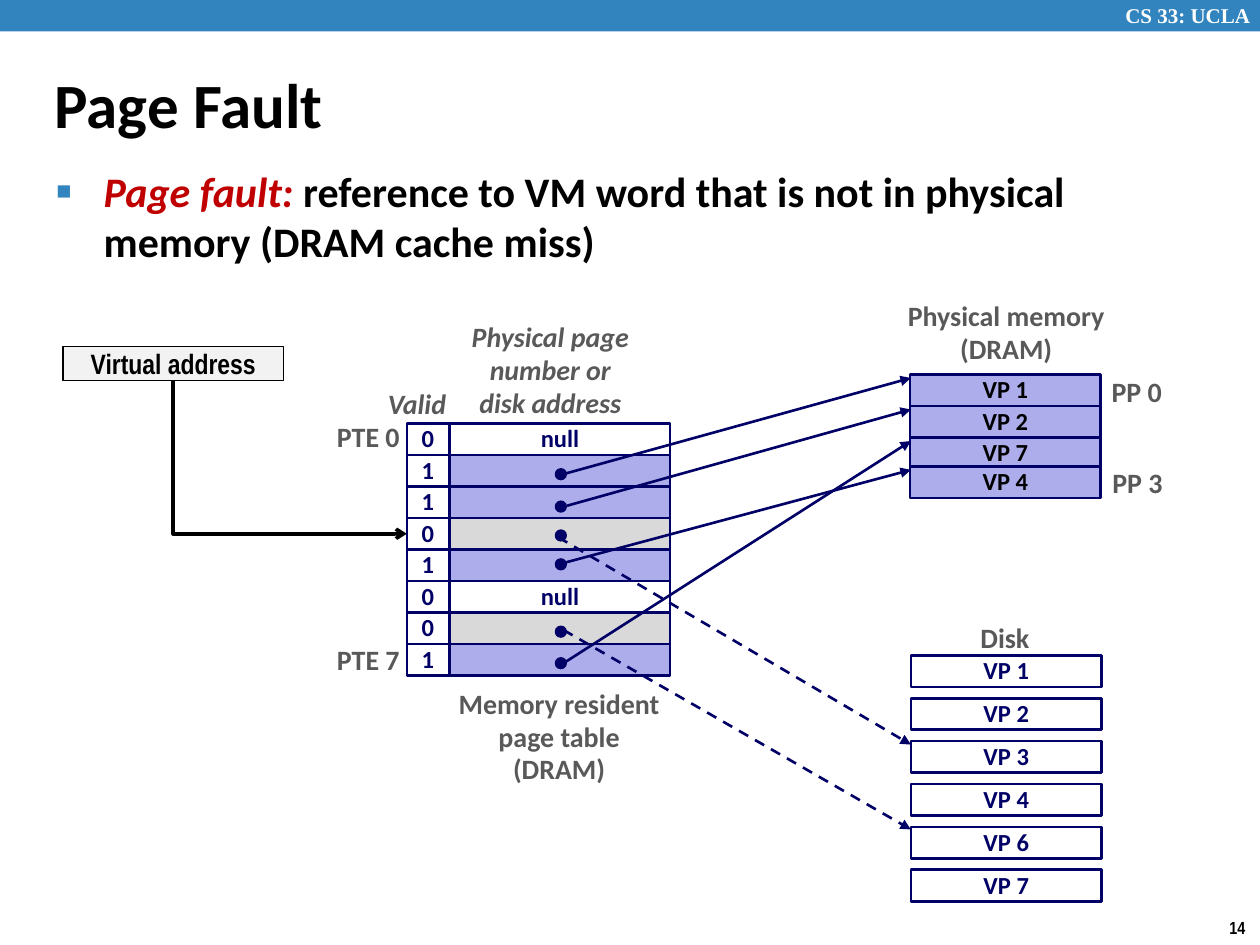
from lxml import etree
from pptx import Presentation
from pptx.dml.color import RGBColor
from pptx.enum.dml import MSO_LINE
from pptx.enum.shapes import MSO_CONNECTOR, MSO_SHAPE
from pptx.enum.text import MSO_ANCHOR, MSO_AUTO_SIZE, PP_ALIGN
from pptx.oxml.ns import qn
from pptx.util import Pt

RECTANGLE, OVAL = MSO_SHAPE.RECTANGLE, MSO_SHAPE.OVAL
STRAIGHT, ELBOW = MSO_CONNECTOR.STRAIGHT, MSO_CONNECTOR.ELBOW
LEFT, CENTER, RIGHT = PP_ALIGN.LEFT, PP_ALIGN.CENTER, PP_ALIGN.RIGHT
TOP, MIDDLE = MSO_ANCHOR.TOP, MSO_ANCHOR.MIDDLE
DASH = MSO_LINE.DASH
NO_AUTOFIT = MSO_AUTO_SIZE.NONE

COLORS = {
    "band": "3284BF", "white": "FFFFFF", "black": "000000", "term": "C00000",
    "navy": "000066", "cached": "ADADEB", "on_disk": "D9D9D9",
    "label": "595959", "address": "F2F2F2",
}

ROW = 18
TABLE_TOP = 242
PAGE_LEFT, PAGE_WIDTH = 520, 109
PAGE_TABLE = [
    ("0", "white", "null"), ("1", "cached", ""), ("1", "cached", ""),
    ("0", "on_disk", ""), ("1", "cached", ""), ("0", "white", "null"),
    ("0", "on_disk", ""), ("1", "cached", ""),
]
PHYSICAL_PAGES = [("VP 1", 214), ("VP 2", 232), ("VP 7", 250), ("VP 4", 266.5)]
DISK_PAGES = ["VP 1", "VP 2", "VP 3", "VP 4", "VP 6", "VP 7"]
DISK_TOP, DISK_STEP = 374.5, 24.5
DOT_X, DOT_SIZE = 320.5, 6
ARROW_END = 520.5
POINTERS = [
    (271, 320, 271.5, 216, None), (289.5, 324, 289, 234, None),
    (306, 319, 307, 425.5, DASH), (322.5, 321, 322, 268.5, None),
    (361, 322, 360, 474, DASH), (379, 322, 379, 252, None),
]


def rgb(name):
    return RGBColor.from_string(COLORS[name])


def set_font(font, size, color, name="Calibri", italic=False):
    font.name = name
    font.size = Pt(size)
    font.bold = True
    font.italic = italic
    font.color.rgb = rgb(color)


def write(text_frame, lines, size, color, align=CENTER, anchor=MIDDLE,
          name="Calibri", italic=False, spacing=0.98):
    text_frame.word_wrap = False
    text_frame.vertical_anchor = anchor
    for index, line in enumerate(lines):
        paragraph = text_frame.paragraphs[0] if index == 0 else text_frame.add_paragraph()
        paragraph.text = line
        paragraph.alignment = align
        paragraph.line_spacing = spacing
        set_font(paragraph.font, size, color, name, italic)


def add_label(slide, left, top, width, height, lines, size=16, color="label", **style):
    box = slide.shapes.add_textbox(Pt(left), Pt(top), Pt(width), Pt(height))
    write(box.text_frame, lines, size, color, **style)


def add_box(slide, left, top, width, height, fill, line="navy", weight=1.5, kind=RECTANGLE):
    shape = slide.shapes.add_shape(kind, Pt(left), Pt(top), Pt(width), Pt(height))
    shape.shadow.inherit = False
    shape.fill.solid()
    shape.fill.fore_color.rgb = rgb(fill)
    if line:
        shape.line.color.rgb = rgb(line)
        shape.line.width = Pt(weight)
    else:
        shape.line.fill.background()
    return shape


def add_cell(slide, left, top, width, fill, text, color="navy"):
    cell = add_box(slide, left, top, width, ROW, fill)
    if text:
        write(cell.text_frame, [text], 14, color)


def add_arrow(slide, start, end, color, weight, head, dash=None, kind=STRAIGHT):
    connector = slide.shapes.add_connector(kind, *(Pt(value) for value in start + end))
    connector.line.color.rgb = rgb(color)
    connector.line.width = Pt(weight)
    if dash:
        connector.line.dash_style = dash
    properties = connector._element.spPr
    etree.SubElement(properties.find(qn("a:ln")), qn("a:tailEnd"), type=head)
    etree.SubElement(properties, qn("a:effectLst"))
    return connector


def add_corner_arrow(slide, start, end):
    center_x, center_y = (start[0] + end[0]) / 2, (start[1] + end[1]) / 2
    half_width, half_height = (end[1] - start[1]) / 2, (end[0] - start[0]) / 2
    connector = add_arrow(
        slide, (center_x + half_width, center_y - half_height),
        (center_x - half_width, center_y + half_height), "black", 2, "arrow", kind=ELBOW)
    properties = connector._element.spPr
    properties.find(qn("a:prstGeom")).set("prst", "bentConnector2")
    properties.find(qn("a:xfrm")).set("rot", "16200000")


def place(placeholder, left, top, width, height, anchor):
    placeholder.left, placeholder.top = Pt(left), Pt(top)
    placeholder.width, placeholder.height = Pt(width), Pt(height)
    placeholder.text_frame.auto_size = NO_AUTOFIT
    placeholder.text_frame.vertical_anchor = anchor
    return placeholder.text_frame.paragraphs[0]


def add_bullet(paragraph, indent):
    properties = paragraph._p.get_or_add_pPr()
    properties.set("marL", str(Pt(indent)))
    properties.set("indent", str(-Pt(indent)))
    color = etree.SubElement(properties, qn("a:buClr"))
    etree.SubElement(color, qn("a:srgbClr"), val=COLORS["band"])
    etree.SubElement(properties, qn("a:buSzPct"), val="60000")
    etree.SubElement(properties, qn("a:buFont"), typeface="Arial")
    etree.SubElement(properties, qn("a:buChar"), char="■")


def add_heading(slide):
    add_box(slide, 0, 0, 720, 18, "band", line=None)
    add_label(slide, 636, -2, 89, 22, ["CS 33: UCLA"], 12, "white",
              align=LEFT, anchor=TOP, name="Times New Roman", spacing=1)
    add_label(slide, 695.5, 520.5, 24.5, 19.5, ["14"], 10, "black",
              align=LEFT, anchor=TOP, name="Arial Narrow", spacing=1)
    title = place(slide.shapes.title, 24, 28, 652, 62, MIDDLE)
    title.text = "Page Fault"
    title.alignment = LEFT
    set_font(title.font, 36, "black")
    body = place(slide.placeholders[1], 25, 91, 654.5, 60, TOP)
    add_bullet(body, 27)
    body.space_before = Pt(0)
    for text, color, italic in [
        ("Page fault: ", "term", True),
        ("reference to VM word that is not in physical memory (DRAM cache miss)", "black", False),
    ]:
        run = body.add_run()
        run.text = text
        set_font(run.font, 24, color, italic=italic)


def add_page_table(slide):
    for index, (valid, fill, text) in enumerate(PAGE_TABLE):
        top = TABLE_TOP + index * ROW
        add_cell(slide, 257, top, 126, fill, text)
        add_cell(slide, 232.5, top, 24, "white", valid)
    add_label(slide, 214.5, 218, 54, 26.5, ["Valid"], align=LEFT, anchor=TOP, italic=True)
    add_label(slide, 262, 180, 105, 64, ["Physical page", "number or", "disk address"], italic=True)
    add_label(slide, 185, 237, 50.5, 26.5, ["PTE 0"], align=RIGHT)
    add_label(slide, 185, 364.5, 50.5, 26.5, ["PTE 7"], align=RIGHT)
    add_label(slide, 253, 389.5, 133, 64, ["Memory resident", "page table", "(DRAM)"], anchor=TOP)


def add_memories(slide):
    for text, top in PHYSICAL_PAGES:
        add_cell(slide, PAGE_LEFT, top, PAGE_WIDTH, "cached", text, "black")
    for index, text in enumerate(DISK_PAGES):
        add_cell(slide, PAGE_LEFT + 0.5, DISK_TOP + index * DISK_STEP, PAGE_WIDTH, "white", text)
    add_label(slide, 511, 168, 128, 45.5, ["Physical memory", "(DRAM)"], anchor=TOP)
    add_label(slide, 628, 211, 43, 26.5, ["PP 0"])
    add_label(slide, 628.5, 263, 43, 26.5, ["PP 3"])
    add_label(slide, 553, 352, 42.5, 26.5, ["Disk"], anchor=TOP)


def add_pointers(slide):
    for dot_y, start_x, start_y, end_y, dash in POINTERS:
        add_box(slide, DOT_X - DOT_SIZE / 2, dot_y - DOT_SIZE / 2, DOT_SIZE, DOT_SIZE,
                "navy", weight=1, kind=OVAL)
        add_arrow(slide, (start_x, start_y), (ARROW_END, end_y), "navy", 1.5, "triangle", dash)


def add_virtual_address(slide):
    box = add_box(slide, 36, 198, 126, 19.5, "address", "black", 1)
    write(box.text_frame, ["Virtual address"], 16, "black", name="Arial Narrow", spacing=1)
    add_corner_arrow(slide, (99, 217.5), (232.5, 305))


def main():
    presentation = Presentation()
    presentation.slide_width, presentation.slide_height = Pt(720), Pt(540)
    slide = presentation.slides.add_slide(presentation.slide_layouts[1])
    add_heading(slide)
    add_page_table(slide)
    add_memories(slide)
    add_pointers(slide)
    add_virtual_address(slide)
    presentation.save("out.pptx")


if __name__ == "__main__":
    main()
